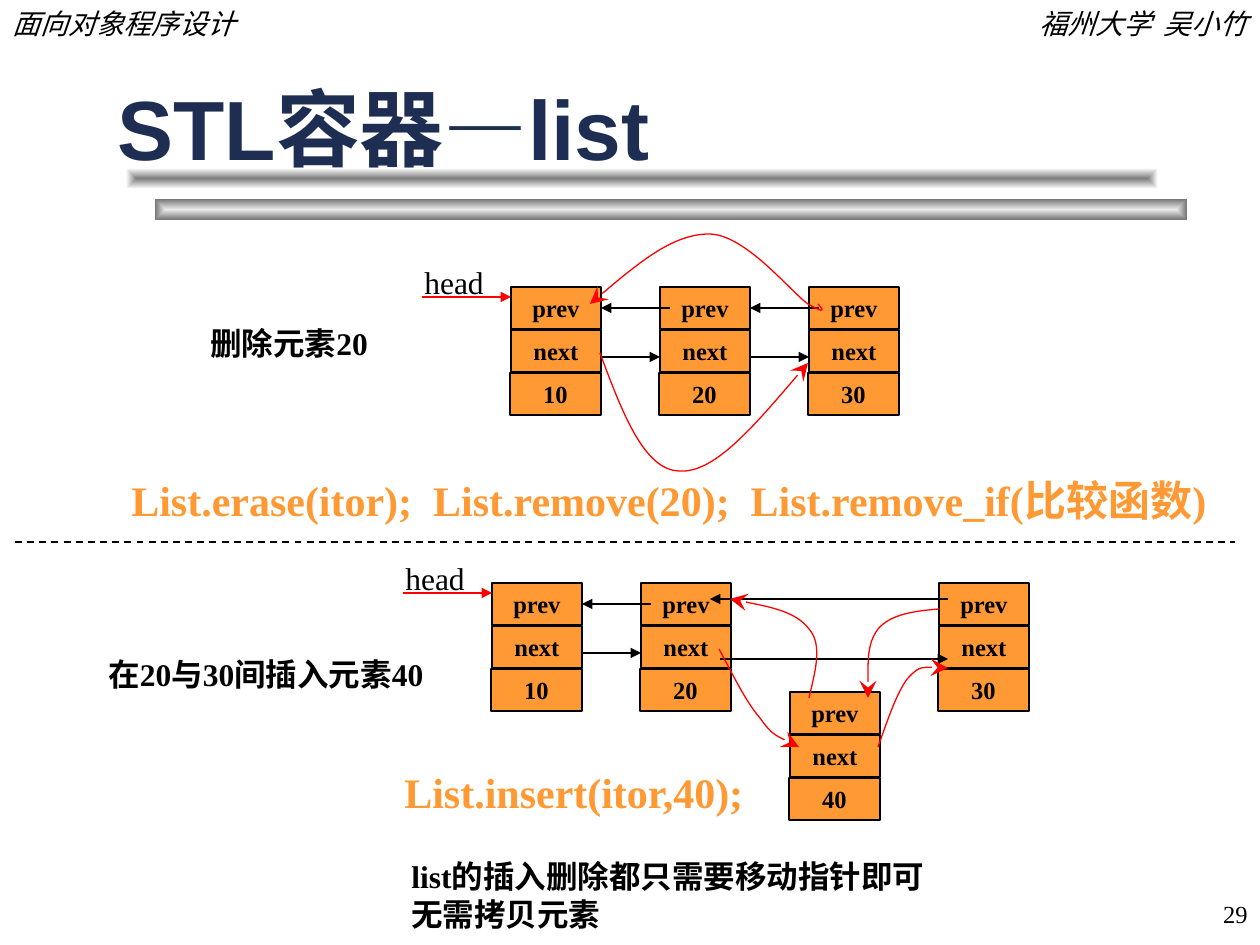
"""Build the STL list slide with its deletion and insertion diagrams."""
import pptx
import pptx.dml.color
import pptx.enum.dml
import pptx.enum.shapes
import pptx.enum.text
import pptx.oxml
import pptx.oxml.ns
import pptx.util

SCALE = 914400 / 126
HUES = {"black": "000000", "red": "FF0000", "orange": "FF9933", "navy": "1E2E53",
        "pale": "EAEAEA", "dim": "757575", "gray": "7F7F7F", "white": "FFFFFF"}
CELL, ROW, STEP = 90, 43, 149
SERIF = "Times New Roman"
ALIGN = pptx.enum.text.PP_ALIGN
ANCHOR = pptx.enum.text.MSO_ANCHOR
RECT = pptx.enum.shapes.MSO_SHAPE.RECTANGLE

CURVES = [
    [(600, 353), (622, 412), (644, 470), (679, 471), (714, 474), (761, 418), (808, 363)],
    [(818, 304), (823, 309), (827, 315), (808, 304), (790, 291), (745, 234), (709, 234),
     (673, 234), (631, 269), (590, 304)],
    [(939, 609), (915, 611), (891, 614), (878, 629), (867, 644), (868, 670), (868, 698)],
    [(809, 698), (815, 672), (823, 645), (809, 629), (796, 612), (762, 605), (730, 599)],
    [(719, 649), (733, 675), (746, 702), (760, 718), (772, 735), (786, 741), (799, 747)],
    [(878, 747), (888, 719), (897, 692), (908, 678), (920, 665), (934, 667), (948, 668)],
]


def px(*nums):
    """Turn pixels into EMU."""
    return [pptx.util.Emu(round(n * SCALE)) for n in nums]


def rgb(hue):
    """Look up a named colour."""
    return pptx.dml.color.RGBColor.from_string(HUES[hue])


def node(tag, **attrs):
    """Make a drawing element."""
    item = pptx.oxml.parse_xml(f"<{tag} {pptx.oxml.ns.nsdecls('a')}/>")
    for key, val in attrs.items():
        item.set(key, val)
    return item


def write(frame, lines, size, hue="black", bold=False, slant=False, align=ALIGN.LEFT, face=SERIF):
    """Fill a text frame with one paragraph per line."""
    frame.text = lines
    for para in frame.paragraphs:
        para.alignment = align
        font = para.font
        font.name, font.size = face, pptx.util.Pt(size)
        font.bold, font.italic = bold, slant
        font.color.rgb = rgb(hue)


def label(slide, lines, box, size, wrap=False, anchor=ANCHOR.TOP, **style):
    """Add a text box."""
    frame = slide.shapes.add_textbox(*px(*box)).text_frame
    frame.word_wrap = wrap
    frame.vertical_anchor = anchor
    if not wrap:
        frame.auto_size = pptx.enum.text.MSO_AUTO_SIZE.SHAPE_TO_FIT_TEXT
    write(frame, lines, size, **style)


def block(slide, box):
    """Add a rectangle without shadow."""
    shape = slide.shapes.add_shape(RECT, *px(*box))
    shape.shadow.inherit = False
    return shape


def bar(slide, box, mid, edge):
    """Add a bar shaded from its middle to its edge."""
    shape = block(slide, box)
    shape.line.fill.background()
    shape.fill.gradient()
    for stop, hue in zip(shape.fill.gradient_stops, (mid, edge)):
        stop.color.rgb = rgb(hue)
    shade = node("a:path", path="rect")
    shade.append(node("a:fillToRect", l="50000", t="50000", r="50000", b="50000"))
    grad = shape.element.spPr.find(pptx.oxml.ns.qn("a:gradFill"))
    grad.replace(grad.find(pptx.oxml.ns.qn("a:lin")), shade)


def stroke(shape, hue, tip=None, width=0.75, size="med"):
    """Colour a line and give its end a tip."""
    shape.line.color.rgb = rgb(hue)
    shape.line.width = pptx.util.Pt(width)
    if tip:
        shape.line._get_or_add_ln().append(node("a:tailEnd", type=tip, w=size, len=size))


def line(slide, start, end, hue="black", tip="triangle", width=0.75):
    """Add a straight line."""
    kind = pptx.enum.shapes.MSO_CONNECTOR.STRAIGHT
    wire = slide.shapes.add_connector(kind, *px(*start, *end))
    stroke(wire, hue, tip, width)
    wire.element.spPr.append(node("a:effectLst"))
    return wire


def curve(slide, points):
    """Add a red curved arrow through Bezier points."""
    pen = slide.shapes.build_freeform(*points[0], scale=SCALE)
    pen.add_line_segments(points[1:], close=False)
    shape = pen.convert_to_shape()
    shape.shadow.inherit = False
    shape.fill.background()
    stroke(shape, "red", "stealth", size="lg")
    legs = list(shape.element.iter(pptx.oxml.ns.qn("a:lnTo")))
    for i in range(0, len(legs), 3):
        bend = node("a:cubicBezTo")
        legs[i].addprevious(bend)
        for leg in legs[i:i + 3]:
            bend.append(leg[0])
            leg.getparent().remove(leg)


def item(slide, x, y, value):
    """Add a list node and return its prev cell."""
    cells = []
    for i, text in enumerate(("prev", "next", value)):
        inset = i // 2
        cell = block(slide, (x - inset, y + i * ROW, CELL + inset, ROW - 1))
        cell.fill.solid()
        cell.fill.fore_color.rgb = rgb("orange")
        stroke(cell, "black")
        cell.text_frame.vertical_anchor = ANCHOR.TOP
        write(cell.text_frame, text, 14, bold=True, align=ALIGN.CENTER)
        cells.append(cell)
    return cells[0]


def link(slide, x, y, prev):
    """Join a node to the next one in both directions."""
    back = line(slide, (x + STEP + 10, y + 21), (x + CELL, y + 21))
    back.end_connect(prev, 3)
    line(slide, (x + CELL, y + 70), (x + STEP, y + 70))


def chain(slide, x, y, values):
    """Add a head pointer and linked nodes."""
    prevs = [item(slide, x + i * STEP, y, val) for i, val in enumerate(values)]
    for i, prev in enumerate(prevs[:-1]):
        link(slide, x + i * STEP, y, prev)
    line(slide, (x - 89, y + 10), (x, y + 10), "red")
    label(slide, "head", (x - 99, y - 30, 90, 50), 18)


def main():
    """Build and save the slide."""
    deck = pptx.Presentation()
    deck.slide_width, deck.slide_height = px(1260, 945)
    slide = deck.slides.add_slide(deck.slide_layouts[6])

    bar(slide, (155, 199, 1032, 21), "pale", "dim")
    bar(slide, (126, 168, 1032, 21), "gray", "white")
    label(slide, "面向对象程序设计", (0, 0, 388, 47), 16, True, slant=True)
    label(slide, "福州大学  吴小竹", (872, 0, 388, 47), 16, True, slant=True, align=ALIGN.RIGHT)
    label(slide, "29", (998, 882, 262, 63), 14, True, ANCHOR.MIDDLE, align=ALIGN.RIGHT)
    label(slide, "STL容器—list", (105, 97, 1071, 60), 48, True, ANCHOR.MIDDLE,
          hue="navy", bold=True, face="Arial")

    chain(slide, 511, 287, ("10", "20", "30"))
    chain(slide, 492, 583, ("10", "20"))
    item(slide, 939, 583, "30")
    item(slide, 790, 692, "40")
    line(slide, (948, 599), (710, 599))
    line(slide, (720, 659), (948, 659))
    for points in CURVES:
        curve(slide, points)

    label(slide, "删除元素20", (198, 318, 190, 50), 18, bold=True)
    label(slide, "在20与30间插入元素40", (96, 649, 378, 50), 18, bold=True)
    label(slide, "list的插入删除都只需要移动指针即可\n无需拷贝元素",
          (399, 851, 546, 88), 18, bold=True)
    label(slide, "List.erase(itor);  List.remove(20);  List.remove_if(比较函数)",
          (119, 468, 1121, 63), 24, hue="orange", bold=True)
    label(slide, "List.insert(itor,40);", (392, 760, 368, 63), 24, hue="orange", bold=True)
    rule = line(slide, (15, 542), (1235, 542), tip=None, width=1)
    rule.line.dash_style = pptx.enum.dml.MSO_LINE.DASH
    deck.save("out.pptx")


if __name__ == "__main__":
    main()
